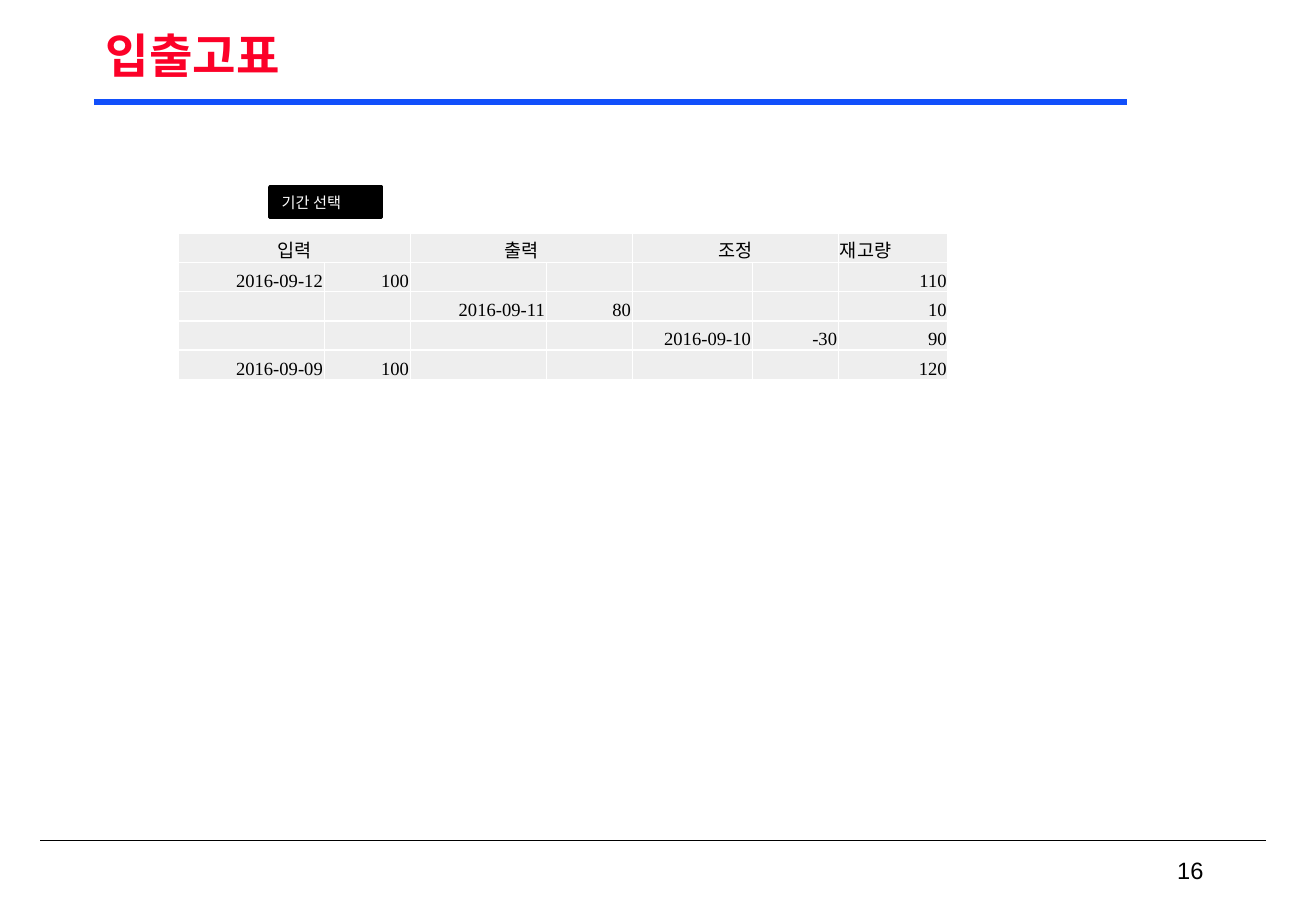
from dataclasses import dataclass

from lxml import etree
from pptx import Presentation
from pptx.dml.color import RGBColor
from pptx.enum import shapes, text
from pptx.oxml import ns
from pptx.util import Cm, Pt


@dataclass(frozen=True)
class Theme:
    red: RGBColor = RGBColor(0xFC, 0x01, 0x28)
    blue: RGBColor = RGBColor(0x11, 0x4F, 0xFB)
    black: RGBColor = RGBColor(0, 0, 0)
    white: RGBColor = RGBColor(255, 255, 255)
    cell: RGBColor = RGBColor(0xEE, 0xEE, 0xEE)
    title_size: int = 28
    number_size: int = 14
    table_size: int = 11
    button_size: int = 9


theme = Theme()
ALIGN = text.PP_ALIGN


def write(tf, words, font, size, color, align, bold=False):
    tf.text = words
    p = tf.paragraphs[0]
    p.alignment = align
    for r in p.runs:
        r.font.name, r.font.size, r.font.bold = font, Pt(size), bold
        r.font.color.rgb = color
    return p


def add_cell_borders(cell):
    tcPr = cell._tc.get_or_add_tcPr()
    for side in ("lnL", "lnR", "lnT", "lnB"):
        ln = etree.SubElement(tcPr, ns.qn(f"a:{side}"), w=str(Pt(1)))
        fill = etree.SubElement(ln, ns.qn("a:solidFill"))
        etree.SubElement(fill, ns.qn("a:srgbClr"), val=str(theme.white))


prs = Presentation()
prs.slide_width, prs.slide_height = Cm(27.51), Cm(19.05)
s = prs.slides.add_slide(prs.slide_layouts[5])

# Rules under the title and above the page number
for x1, x2, y, color, width in (
    (0.84, 26.47, 17.58, theme.black, 1),
    (1.96, 23.55, 2.13, theme.blue, 3.75),
):
    rule = s.shapes.add_connector(
        shapes.MSO_CONNECTOR.STRAIGHT, Cm(x1), Cm(y), Cm(x2), Cm(y))
    rule.line.color.rgb = color
    rule.line.width = Pt(width)
    etree.SubElement(rule._element.spPr, ns.qn("a:effectLst"))

# Title
title = s.shapes.title
title.left, title.top, title.width, title.height = Cm(1.96), Cm(0.43), Cm(23.6), Cm(1.57)
tf = title.text_frame
tf.auto_size = text.MSO_AUTO_SIZE.NONE
tf.vertical_anchor = text.MSO_ANCHOR.MIDDLE
p = write(tf, "입출고표", "Arial", theme.title_size, theme.red, ALIGN.JUSTIFY, bold=True)
p.line_spacing = 0.9

# Page number
number = s.shapes.add_textbox(Cm(19.69), Cm(17.78), Cm(5.72), Cm(0.84))
tf = number.text_frame
tf.word_wrap = True
tf.vertical_anchor = text.MSO_ANCHOR.MIDDLE
write(tf, "16", "Arial", theme.number_size, theme.black, ALIGN.RIGHT)

# Stock table
stock_rows = (
    ("입력", "", "출력", "", "조정", "", "재고량"),
    ("2016-09-12", "100", "", "", "", "", "110"),
    ("", "", "2016-09-11", "80", "", "", "10"),
    ("", "", "", "", "2016-09-10", "-30", "90"),
    ("2016-09-09", "100", "", "", "", "", "120"),
)
widths = (3.05, 1.8, 2.84, 1.8, 2.51, 1.8, 2.29)
row_height = 0.61
table = s.shapes.add_table(
    len(stock_rows), len(widths), Cm(3.73), Cm(4.88),
    Cm(sum(widths)), Cm(row_height * len(stock_rows))).table
table.first_row = table.horz_banding = False
for column, width in zip(table.columns, widths):
    column.width = Cm(width)
for i, values in enumerate(stock_rows):
    table.rows[i].height = Cm(row_height)
    for j, value in enumerate(values):
        cell = table.cell(i, j)
        add_cell_borders(cell)
        cell.fill.solid()
        cell.fill.fore_color.rgb = theme.cell
        cell.margin_left = cell.margin_right = cell.margin_top = Cm(0.03)
        cell.margin_bottom = 0
        cell.vertical_anchor = text.MSO_ANCHOR.BOTTOM
        if i > 0:
            align = ALIGN.RIGHT
        else:
            align = ALIGN.LEFT if j == len(widths) - 1 else ALIGN.CENTER
        p = write(cell.text_frame, value, "Times New Roman",
                  theme.table_size, theme.black, align)
        # Keeps empty cells from stretching their row
        etree.SubElement(p._p, ns.qn("a:endParaRPr"), sz=str(theme.table_size * 100))
for j in (0, 2, 4):
    table.cell(0, j).merge(table.cell(0, j + 1))

# Period button
button = s.shapes.add_shape(
    shapes.MSO_SHAPE.RECTANGLE, Cm(5.64), Cm(3.91), Cm(2.34), Cm(0.64))
button.shadow.inherit = False
button.fill.solid()
button.fill.fore_color.rgb = theme.black
button.line.color.rgb = theme.black
button.line.width = Pt(2)
tf = button.text_frame
tf.vertical_anchor = text.MSO_ANCHOR.MIDDLE
write(tf, "기간 선택", "Courier New", theme.button_size, theme.white, ALIGN.LEFT)

prs.save("out.pptx")
